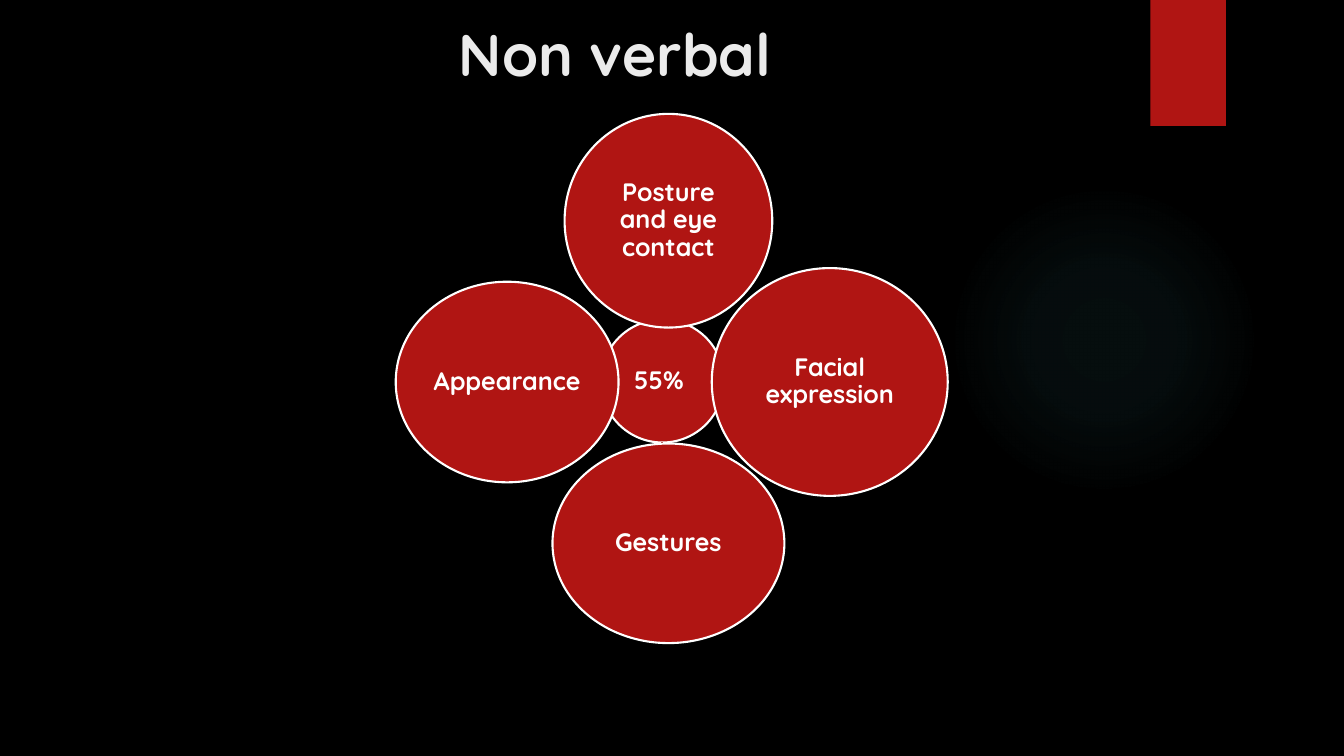
from dataclasses import dataclass

from lxml import etree
from pptx import Presentation
from pptx.dml.color import RGBColor
from pptx.enum.shapes import MSO_CONNECTOR as Connector, MSO_SHAPE as Shape
from pptx.enum.text import MSO_ANCHOR as Anchor, PP_ALIGN as Align
from pptx.oxml import parse_xml
from pptx.oxml.ns import nsdecls, qn
from pptx.util import Inches, Pt


@dataclass(frozen=True)
class Theme:
    font: str = "Quicksand"
    background: str = "000000"
    red: str = "B01513"
    spoke: str = "8D110F"
    white: str = "FFFFFF"
    title: str = "EBEBEB"
    glow: str = "50B9C1"
    title_size: float = 42
    label_size: float = 18
    outline: float = 1.5


THEME = Theme()

# Flower geometry in inches
HUB_CENTRE, HUB_SIZE = (6.57, 3.78), 1.22
RING_CENTRE, RING_RADIUS = (6.63, 3.79), 1.6

# Label, direction from the hub, width and height
PETALS = [
    ("Posture and eye contact", (0, -1), (2.06, 2.12)),
    ("Facial expression", (1, 0), (2.34, 2.26)),
    ("Gestures", (0, 1), (2.3, 1.98)),
    ("Appearance", (-1, 0), (2.21, 1.99)),
]


def rgb(colour):
    return RGBColor.from_string(colour)


def write(frame, text, size, colour):
    frame.word_wrap = True
    frame.text = text
    line = frame.paragraphs[0]
    line.alignment = Align.CENTER
    font = line.runs[0].font
    font.name, font.size, font.bold = THEME.font, Pt(size), True
    font.color.rgb = rgb(colour)
    return line


def add_plain(slide, kind, left, top, width, height):
    plain = slide.shapes.add_shape(
        kind, Inches(left), Inches(top), Inches(width), Inches(height))
    plain.shadow.inherit = False
    plain.line.fill.background()
    plain.fill.solid()
    plain.fill.fore_color.rgb = rgb(THEME.red)
    return plain


def add_glow(slide):
    glow = add_plain(slide, Shape.OVAL, 9.41, 1.83, 3.08, 3.08)
    stops = "".join(
        f'<a:gs pos="{place * 1000}"><a:srgbClr val="{THEME.glow}">'
        f'<a:alpha val="{alpha * 1000}"/></a:srgbClr></a:gs>'
        for place, alpha in ((0, 7), (36, 6), (69, 0)))
    gradient = parse_xml(
        f'<a:gradFill {nsdecls("a")}><a:gsLst>{stops}</a:gsLst>'
        '<a:path path="circle"><a:fillToRect l="50000" t="50000" '
        'r="50000" b="50000"/></a:path></a:gradFill>')
    properties = glow._element.spPr
    properties.replace(properties.find(qn("a:solidFill")), gradient)


def add_title(slide, text):
    title = slide.shapes.add_textbox(
        Inches(0.96), Inches(0.13), Inches(10.28), Inches(1.53))
    write(title.text_frame, text, THEME.title_size, THEME.title)


def add_circle(slide, label, centre, size):
    (x, y), (width, height) = centre, size
    circle = add_plain(
        slide, Shape.OVAL, x - width / 2, y - height / 2, width, height)
    circle.line.color.rgb = rgb(THEME.white)
    circle.line.width = Pt(THEME.outline)
    frame = circle.text_frame
    frame.margin_left = frame.margin_right = Inches(0.01)
    frame.margin_top = frame.margin_bottom = Inches(0.01)
    frame.vertical_anchor = Anchor.MIDDLE
    write(frame, label, THEME.label_size, THEME.white).line_spacing = 0.9


def add_spoke(slide, start, end):
    spoke = slide.shapes.add_connector(
        Connector.STRAIGHT, *(Inches(value) for value in (*start, *end)))
    spoke.line.color.rgb = rgb(THEME.spoke)
    spoke.line.width = Pt(THEME.outline)
    etree.SubElement(spoke._element.spPr, qn("a:effectLst"))


def add_petal(slide, label, direction, size):
    centre = [c + RING_RADIUS * d for c, d in zip(RING_CENTRE, direction)]
    hub_edge = [c + HUB_SIZE / 2 * d for c, d in zip(HUB_CENTRE, direction)]
    petal_edge = [c - s / 2 * d for c, s, d in zip(centre, size, direction)]
    # Keep the spoke straight along its own axis
    across = 0 if direction[0] == 0 else 1
    petal_edge[across] = hub_edge[across]
    add_spoke(slide, hub_edge, petal_edge)
    add_circle(slide, label, centre, size)


def main():
    deck = Presentation()
    deck.slide_width, deck.slide_height = Inches(13.33), Inches(7.5)
    slide = deck.slides.add_slide(deck.slide_layouts[6])

    # Backdrop: black ground, soft glow and red ribbon
    slide.background.fill.solid()
    slide.background.fill.fore_color.rgb = rgb(THEME.background)
    add_glow(slide)
    add_plain(slide, Shape.RECTANGLE, 11.41, 0, 0.75, 1.25)

    add_title(slide, "Non verbal")

    # Flower: hub first, petals overlap it (the hub label ends in a space)
    add_circle(slide, "55% ", HUB_CENTRE, (HUB_SIZE, HUB_SIZE))
    for label, direction, size in PETALS:
        add_petal(slide, label, direction, size)

    deck.save("out.pptx")


if __name__ == "__main__":
    main()
